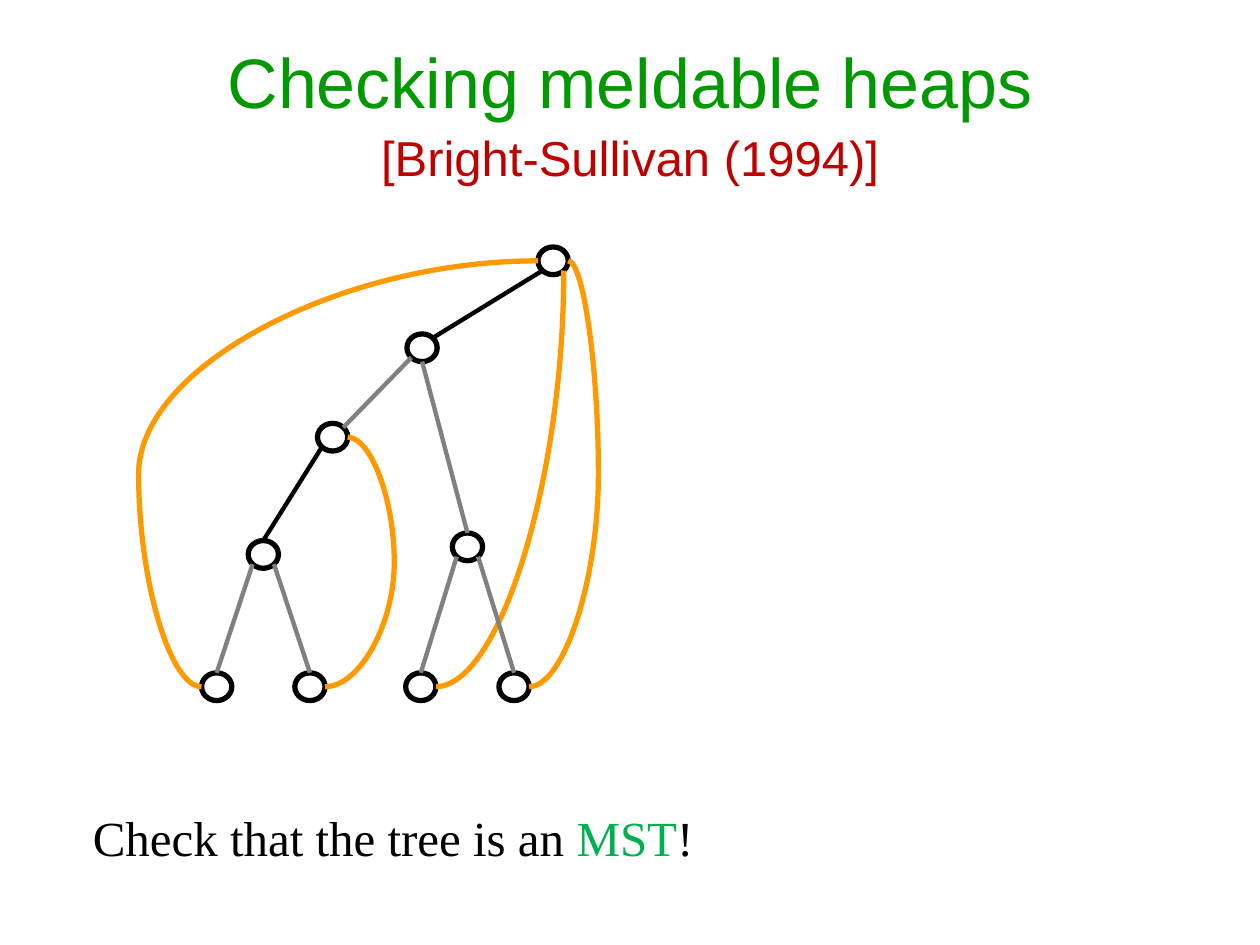
from math import sqrt

from lxml import etree
from pptx import Presentation
from pptx.dml.color import RGBColor
from pptx.enum.shapes import MSO_CONNECTOR, MSO_SHAPE
from pptx.enum.text import PP_ALIGN
from pptx.oxml.ns import qn
from pptx.util import Inches, Pt

STRAIGHT, CURVE = MSO_CONNECTOR.STRAIGHT, MSO_CONNECTOR.CURVE
OVAL, CENTER = MSO_SHAPE.OVAL, PP_ALIGN.CENTER

BLACK, GRAY, ORANGE = "000000", "808080", "FF9900"
NODE_W, NODE_H = 0.24, 0.22
LEAF_Y = 5.45

TEXTS = [
    ((0, 0.26, 10, 0.77), "Arial", 40, [("Checking meldable heaps", "009900")]),
    ((2.9, 0.96, 4.2, 0.57), "Arial", 28, [("[Bright-Sullivan (1994)]", "C00000")]),
    ((0.16, 6.36, 5.92, 0.57), "Times New Roman", 28,
     [("Check that the tree is an ", BLACK), ("MST", "00B050"), ("!", BLACK)]),
]

NODES = {
    "root": (4.39, 2.07),
    "upper": (3.35, 2.76),
    "middle": (2.64, 3.47),
    "left": (2.09, 4.4),
    "right": (3.71, 4.34),
    "leaf1": (1.72, LEAF_Y),
    "leaf2": (2.46, LEAF_Y),
    "leaf3": (3.34, LEAF_Y),
    "leaf4": (4.08, LEAF_Y),
}

DIAGONAL = sqrt(0.5)
SITES = {
    "top": (0, -1), "bottom": (0, 1), "west": (-1, 0), "east": (1, 0),
    "southwest": (-DIAGONAL, DIAGONAL), "southeast": (DIAGONAL, DIAGONAL),
    "northeast": (DIAGONAL, -DIAGONAL),
}

TREE_EDGES = [
    ("root", "southwest", "upper", "northeast", BLACK),
    ("upper", "southwest", "middle", "northeast", GRAY),
    ("upper", "bottom", "right", "top", GRAY),
    ("middle", "southwest", "left", "top", BLACK),
    ("left", "southwest", "leaf1", "top", GRAY),
    ("left", "southeast", "leaf2", "top", GRAY),
    ("right", "southwest", "leaf3", "top", GRAY),
    ("right", "southeast", "leaf4", "top", GRAY),
]

LOOP_EDGES = [
    ("middle", "east", "leaf2", "east", 3.13),
    ("root", "west", "leaf1", "west", 1.1),
    ("root", "east", "leaf4", "east", 4.75),
]
BEND_EDGE = ("leaf3", "east", "root", "southeast")


def rgb(color):
    return RGBColor.from_string(color)


def site(node, side):
    x, y = NODES[node]
    dx, dy = SITES[side]
    return x + dx * NODE_W / 2, y + dy * NODE_H / 2


def add_edge(slide, kind, start, end, color, width):
    edge = slide.shapes.add_connector(kind, *map(Inches, start + end))
    edge.line.color.rgb = rgb(color)
    edge.line.width = Pt(width)
    properties = edge._element.spPr
    etree.SubElement(properties, qn("a:effectLst"))
    return properties.find(qn("a:prstGeom"))


def add_node(slide, x, y):
    box = (x - NODE_W / 2, y - NODE_H / 2, NODE_W, NODE_H)
    node = slide.shapes.add_shape(OVAL, *map(Inches, box))
    node.shadow.inherit = False
    node.fill.background()
    node.line.color.rgb = rgb(BLACK)
    node.line.width = Pt(3)


def add_loop(slide, parent, parent_side, leaf, leaf_side, bulge_x):
    start, end = site(parent, parent_side), site(leaf, leaf_side)
    geometry = add_edge(slide, CURVE, start, end, ORANGE, 3)
    share = (bulge_x - start[0]) / (end[0] - start[0])
    guides = geometry.find(qn("a:avLst"))
    if guides is None:
        guides = etree.SubElement(geometry, qn("a:avLst"))
    etree.SubElement(guides, qn("a:gd"), name="adj1", fmla=f"val {round(share * 100000)}")


def add_text(slide, box, font, size, runs):
    frame = slide.shapes.add_textbox(*map(Inches, box)).text_frame
    frame.word_wrap = True
    paragraph = frame.paragraphs[0]
    paragraph.alignment = CENTER
    for words, color in runs:
        run = paragraph.add_run()
        run.text = words
        run.font.name = font
        run.font.size = Pt(size)
        run.font.color.rgb = rgb(color)


def main():
    deck = Presentation()
    deck.slide_width, deck.slide_height = Inches(10), Inches(7.5)
    slide = deck.slides.add_slide(deck.slide_layouts[6])
    for center in NODES.values():
        add_node(slide, *center)
    for loop in LOOP_EDGES:
        add_loop(slide, *loop)
    leaf, leaf_side, parent, parent_side = BEND_EDGE
    bend = add_edge(slide, CURVE, site(leaf, leaf_side), site(parent, parent_side), ORANGE, 3)
    bend.set("prst", "curvedConnector2")
    for upper, upper_side, lower, lower_side, color in TREE_EDGES:
        add_edge(slide, STRAIGHT, site(upper, upper_side), site(lower, lower_side), color, 2.5)
    for text in TEXTS:
        add_text(slide, *text)
    deck.save("out.pptx")


if __name__ == "__main__":
    main()
